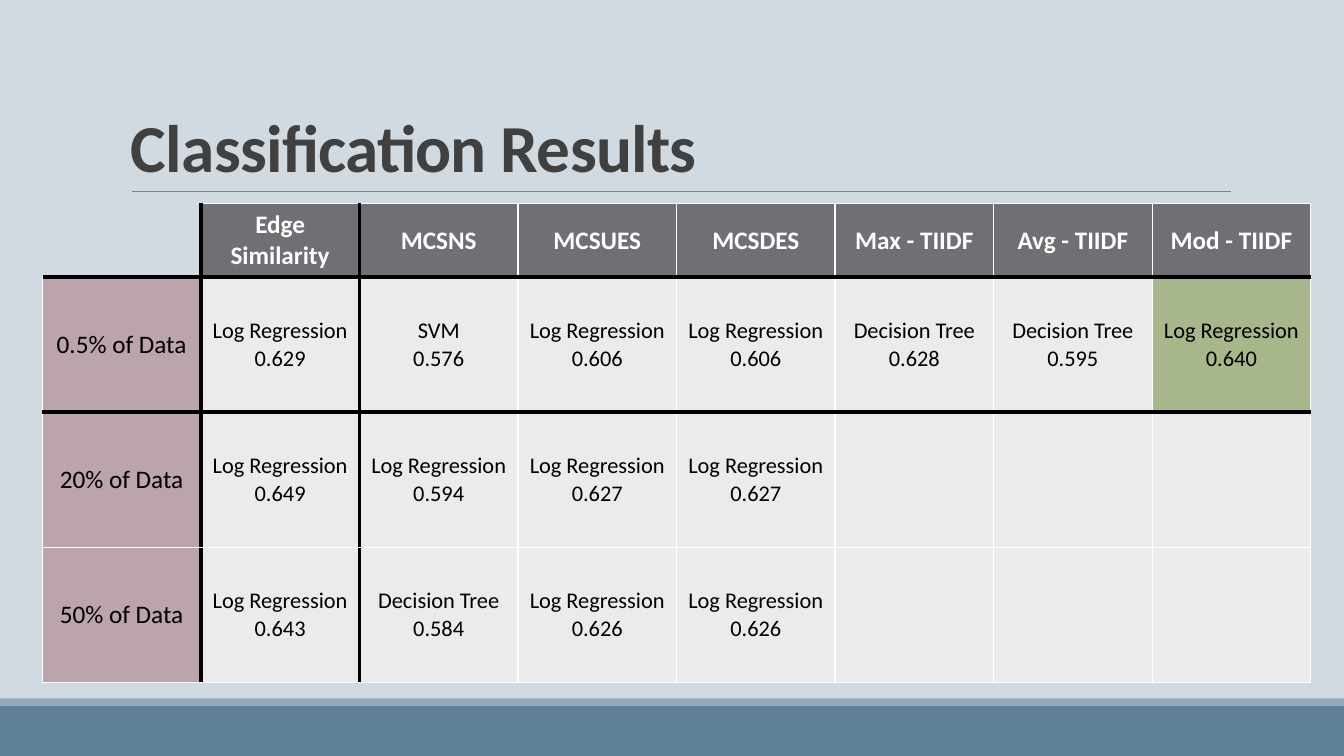
from lxml import etree
from pptx import Presentation
from pptx.dml.color import RGBColor
from pptx.enum.shapes import MSO_CONNECTOR, MSO_SHAPE
from pptx.enum.text import MSO_ANCHOR, PP_ALIGN
from pptx.oxml.ns import qn
from pptx.util import Inches, Pt

FONT = "Calibri"
COLORS = {
    "background": "D1D9E1", "footer": "618197", "footer_edge": "92A9B9",
    "rule": "808080", "title": "404040", "header": "6F6F74",
    "row_label": "BBA4AB", "body": "EBEBEB", "best": "A7B789",
    "white": "FFFFFF", "black": "000000",
}
HEADERS = ["", "Edge Similarity", "MCSNS", "MCSUES", "MCSDES",
           "Max - TIIDF", "Avg - TIIDF", "Mod - TIIDF"]
LOG, TREE = "Log Regression", "Decision Tree"
RESULTS = [
    ("0.5% of Data", [(LOG, "0.629"), ("SVM", "0.576"), (LOG, "0.606"), (LOG, "0.606"),
                      (TREE, "0.628"), (TREE, "0.595"), (LOG, "0.640")]),
    ("20% of Data", [(LOG, "0.649"), (LOG, "0.594"), (LOG, "0.627"), (LOG, "0.627")]),
    ("50% of Data", [(LOG, "0.643"), (TREE, "0.584"), (LOG, "0.626"), (LOG, "0.626")]),
]
BEST_CELL = (1, 7)
HEAVY_EDGES = (1, 2)  # grid lines around the first data row and column


def color(name):
    return RGBColor.from_string(COLORS[name])


def style_text(text_frame, size, color_name, bold=False, align=PP_ALIGN.LEFT):
    for paragraph in text_frame.paragraphs:
        paragraph.alignment = align
        for run in paragraph.runs:
            run.font.name = FONT
            run.font.size = Pt(size)
            run.font.bold = bold
            run.font.color.rgb = color(color_name)


def add_band(slide, left, top, width, height, color_name):
    band = slide.shapes.add_shape(MSO_SHAPE.RECTANGLE, Inches(left), Inches(top),
                                  Inches(width), Inches(height))
    band.shadow.inherit = False
    band.fill.solid()
    band.fill.fore_color.rgb = color(color_name)
    band.line.fill.background()


def add_footer(slide, left, top, width, height):
    edge = 0.07
    add_band(slide, left, top + edge, width, height - edge, "footer")
    add_band(slide, left, top, width, edge, "footer_edge")


def add_title(slide, left, top, width, height):
    # Rule under the title
    bottom = Inches(top + height)
    rule = slide.shapes.add_connector(MSO_CONNECTOR.STRAIGHT, Inches(left + 0.11), bottom,
                                      Inches(left + width + 0.01), bottom)
    rule.line.color.rgb = color("rule")
    rule.line.width = Pt(0.5)
    etree.SubElement(rule.element.spPr, qn("a:effectLst"))

    # Title text
    box = slide.shapes.add_textbox(Inches(left), Inches(top), Inches(width), Inches(height))
    text_frame = box.text_frame
    text_frame.word_wrap = True
    text_frame.vertical_anchor = MSO_ANCHOR.BOTTOM
    text_frame.text = "Classification Results"
    style_text(text_frame, 48, "title", bold=True)
    paragraph = text_frame.paragraphs[0]
    paragraph.line_spacing = 0.85
    paragraph.runs[0].font._element.set("spc", "-50")


def add_border(cell, side, color_name, width):
    line = etree.SubElement(cell._tc.get_or_add_tcPr(), qn(f"a:ln{side}"), w=str(Pt(width)))
    if color_name is None:
        etree.SubElement(line, qn("a:noFill"))
        return
    fill = etree.SubElement(line, qn("a:solidFill"))
    etree.SubElement(fill, qn("a:srgbClr"), val=COLORS[color_name])


def add_borders(cell, row, column):
    edges = {"L": column, "R": column + 1, "T": row, "B": row + 1}
    for side, edge in edges.items():
        if edge in HEAVY_EDGES:
            add_border(cell, side, "black", 3)
        elif row == column == 0:
            add_border(cell, side, None, 1)
        else:
            add_border(cell, side, "white", 1)


def fill_cell(cell, row, column, text):
    if row == column == 0:
        cell.fill.background()
        return
    size, text_color, bold = 18, "black", False
    if row == 0:
        fill, text_color, bold = "header", "white", True
    elif column == 0:
        fill = "row_label"
    else:
        fill, size = "best" if (row, column) == BEST_CELL else "body", 16
    cell.fill.solid()
    cell.fill.fore_color.rgb = color(fill)
    cell.vertical_anchor = MSO_ANCHOR.MIDDLE
    cell.text_frame.text = text
    style_text(cell.text_frame, size, text_color, bold, PP_ALIGN.CENTER)


def add_results_table(slide, left, top, width, height):
    rows = [HEADERS]
    for label, scores in RESULTS:
        texts = [label] + ["\n".join(score) for score in scores]
        rows.append(texts + [""] * (len(HEADERS) - len(texts)))
    table = slide.shapes.add_table(len(rows), len(HEADERS), Inches(left), Inches(top),
                                   Inches(width), Inches(height)).table
    table.first_row = table.horz_banding = False

    # Equal columns, a low header and equal data rows
    header_height = 0.73
    for column in table.columns:
        column.width = Inches(width / len(HEADERS))
    for index, row in enumerate(table.rows):
        data_height = (height - header_height) / len(RESULTS)
        row.height = Inches(data_height if index else header_height)

    for row, texts in enumerate(rows):
        for column, text in enumerate(texts):
            cell = table.cell(row, column)
            add_borders(cell, row, column)
            fill_cell(cell, row, column, text)


def main():
    presentation = Presentation()
    presentation.slide_width = Inches(13.33)
    presentation.slide_height = Inches(7.5)
    slide = presentation.slides.add_slide(presentation.slide_layouts[6])
    slide.background.fill.solid()
    slide.background.fill.fore_color.rgb = color("background")

    add_footer(slide, 0, 6.93, 13.33, 0.57)
    add_title(slide, 1.2, 0.31, 11, 1.59)
    add_results_table(slide, 0.42, 2.02, 12.58, 4.75)
    presentation.save("out.pptx")


if __name__ == "__main__":
    main()
